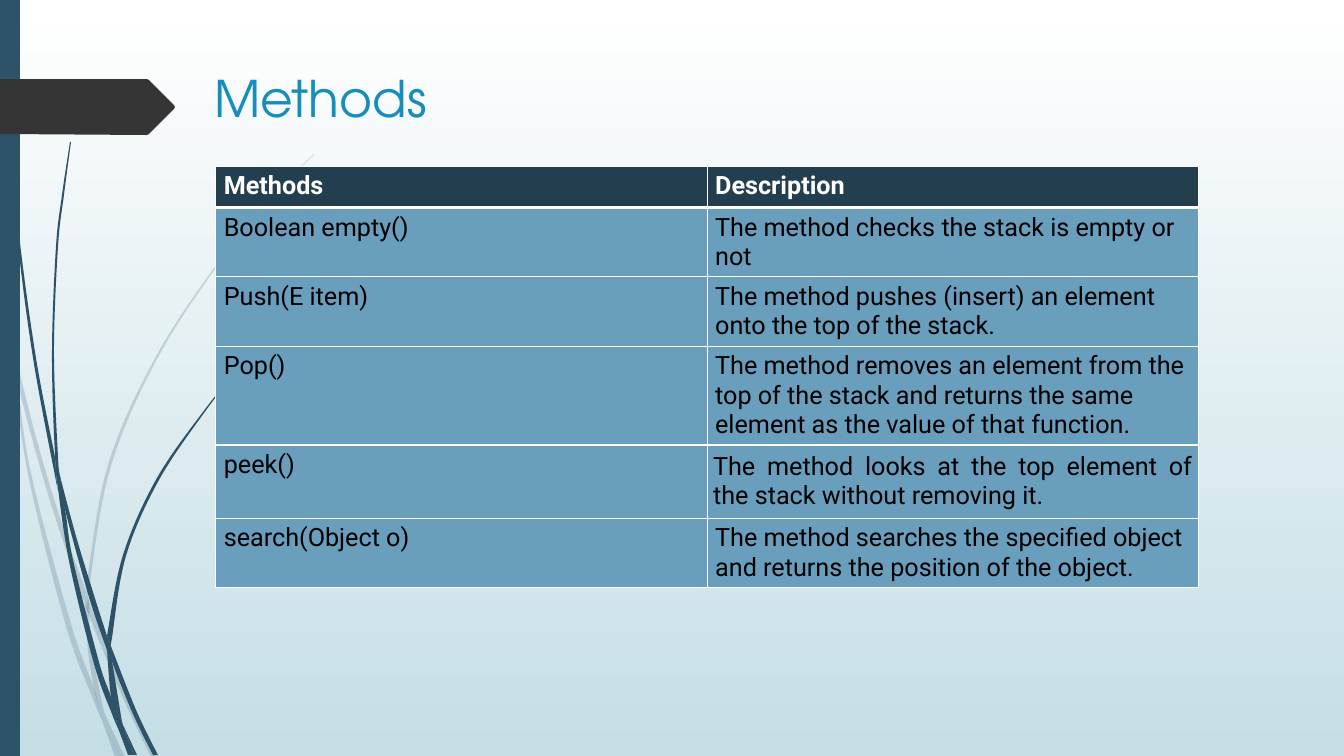
from pptx import Presentation, util as u
from pptx.dml.color import RGBColor
from pptx.enum import shapes, text
from pptx.oxml.ns import qn
from lxml import etree

EMU_PER_PX = 914400 / 100.8
COLORS = {"blue": "2E5369", "dark": "353535", "title": "178DBB", "header": "233E4F",
          "row": "699EBD", "white": "FFFFFF", "black": "000000", "sky": "C5DEE5"}
TITLE_FONT, TABLE_FONT = "TeX Gyre Adventor", "Roboto"

TITLE = "Methods"
METHODS = [
    ("Methods", "Description"),
    ("Boolean empty()", "The method checks the stack is empty or not"),
    ("Push(E item)", "The method pushes (insert) an element onto the top of the stack."),
    ("Pop()", "The method removes an element from the top of the stack and returns "
              "the same element as the value of that function."),
    ("peek()", "The method looks at the top element of the stack without removing it."),
    ("search(Object o)", "The method searches the specified object and returns "
                         "the position of the object."),
]
JUSTIFIED = METHODS[4][1]

# Each grass blade is a pair of edges: one out along the blade, one back.
PALE_BLADES = [
    ([(11, 353), (9, 325), (0, 284)], [(0, 301), (10, 347), (11, 353)]),
    ([(14, 348), (17, 379), (36, 453), (58, 526), (85, 604)],
     [(86, 591), (62, 524), (36, 437), (14, 348)]),
    ([(89, 601), (89, 615), (124, 700), (151, 757)],
     [(156, 757), (128, 698), (93, 612), (89, 601)]),
    ([(106, 717), (120, 757)], [(125, 757), (106, 717)]),
    ([(11, 353), (28, 474), (66, 626), (93, 699), (102, 720)],
     [(100, 713), (94, 688), (71, 624), (31, 473), (17, 379), (11, 353)]),
    ([(85, 604), (88, 651), (94, 688), (97, 698), (106, 717)],
     [(104, 712), (92, 651), (89, 615), (85, 604)]),
    ([(89, 601), (89, 589), (111, 466), (161, 352), (231, 247), (270, 200), (292, 176),
      (314, 155)],
     [(314, 154), (291, 176), (270, 199), (230, 246), (159, 351), (108, 465), (86, 589)]),
    ([(102, 720), (115, 757)], [(120, 757), (102, 720)]),
    ([(85, 604), (89, 615)], [(89, 601), (86, 591)]),
    ([(94, 688), (100, 713), (102, 720), (120, 757)], [(106, 717), (97, 698), (94, 688)]),
]
BLUE_BLADES = [
    ([(3, 0), (4, 48), (7, 111), (17, 235), (33, 358), (56, 481), (57, 485)],
     [(55, 457), (36, 358), (19, 234), (8, 110), (5, 48), (4, 0)]),
    ([(60, 476), (65, 509), (89, 597), (107, 650)],
     [(107, 636), (94, 595), (76, 536), (60, 476)]),
    ([(111, 646), (112, 661), (133, 714), (153, 755)],
     [(158, 755), (137, 712), (114, 654), (111, 646)]),
    ([(57, 481), (69, 561), (94, 664), (112, 714), (118, 728)],
     [(117, 723), (111, 697), (99, 662), (73, 560), (65, 509), (57, 481)]),
    ([(60, 476), (58, 457), (54, 352), (58, 247), (64, 195), (71, 142)],
     [(70, 142), (62, 195), (56, 247), (52, 352), (55, 453), (60, 476)]),
    ([(123, 725), (134, 755)], [(137, 755), (123, 725)]),
    ([(55, 453), (57, 481), (65, 509)], [(60, 476), (55, 453)]),
    ([(111, 646), (112, 638), (126, 556), (159, 480), (207, 409), (233, 377), (247, 362),
      (263, 347)],
     [(262, 347), (247, 361), (233, 376), (206, 408), (157, 478), (123, 555), (107, 636)]),
    ([(118, 728), (128, 755)], [(132, 755), (118, 728)]),
    ([(107, 650), (111, 697), (117, 712), (123, 725)],
     [(122, 722), (112, 661), (110, 656), (107, 650)]),
    ([(107, 650), (112, 661)], [(111, 646), (107, 636)]),
    ([(111, 697), (117, 723), (118, 728), (131, 755)],
     [(134, 755), (123, 725), (117, 712), (111, 697)]),
]
ARROW = [(0, 79), (147, 79), (149, 80), (174, 105), (175, 107), (174, 109), (149, 134),
         (147, 135), (0, 134)]


def px(length):
    """Turn picture pixels into EMU."""
    return round(length * EMU_PER_PX)


def rgb(name):
    """Look up a named colour."""
    return RGBColor.from_string(COLORS[name])


def paint(shape, color, opacity=100):
    """Give a shape a flat fill without line or shadow."""
    shape.shadow.inherit = False
    shape.line.fill.background()
    shape.fill.solid()
    shape.fill.fore_color.rgb = rgb(color)
    if opacity < 100:
        fill_color = shape.fill._xPr.find(qn("a:solidFill"))[0]
        etree.SubElement(fill_color, qn("a:alpha"), val=str(opacity * 1000))


def add_outline(slide, points, color, opacity=100):
    """Draw a closed, filled outline and return its shape."""
    start, *rest = [(px(x), px(y)) for x, y in points]
    builder = slide.shapes.build_freeform(*start)
    builder.add_line_segments(rest, close=True)
    outline = builder.convert_to_shape()
    paint(outline, color, opacity)
    return outline


def bend(segment, before, start, end, after):
    """Turn a straight segment into a curve that follows its neighbours."""
    curve = etree.Element(qn("a:cubicBezTo"))
    first = [s + (e - b) / 6 for b, s, e in zip(before, start, end)]
    second = [e - (a - s) / 6 for s, e, a in zip(start, end, after)]
    for x, y in (first, second, end):
        etree.SubElement(curve, qn("a:pt"), x=str(round(x)), y=str(round(y)))
    segment.getparent().replace(segment, curve)


def add_blade(slide, out, back, opacity):
    """Draw a grass blade with curved edges."""
    blade = add_outline(slide, out + back, "blue", opacity)
    segments = list(blade._element.iter(qn("a:lnTo")))
    local = [(px(x) - blade.left, px(y) - blade.top) for x, y in out + back]
    for first, last in ((0, len(out) - 1), (len(out), len(local) - 1)):
        for i in range(first, last):
            bend(segments[i], local[max(i - 1, first)], local[i], local[i + 1],
                 local[min(i + 2, last)])


def write(frame, words, font, size, color, bold=False):
    """Write one formatted run into the first paragraph."""
    run = frame.paragraphs[0].add_run()
    run.text = words
    run.font.name, run.font.size, run.font.bold = font, u.Pt(size), bold
    run.font.color.rgb = rgb(color)


def set_borders(cell, row):
    """Draw white cell borders, thick below the header."""
    widths = {"L": 1, "R": 1, "T": 3 if row == 1 else 1, "B": 3 if row == 0 else 1}
    properties = cell._tc.get_or_add_tcPr()
    for index, (side, width) in enumerate(widths.items()):
        line = etree.Element(qn(f"a:ln{side}"), w=str(u.Pt(width)))
        fill = etree.SubElement(line, qn("a:solidFill"))
        etree.SubElement(fill, qn("a:srgbClr"), val=COLORS["white"])
        properties.insert(index, line)


def add_methods(slide):
    """Build the table of methods."""
    table = slide.shapes.add_table(len(METHODS), 2, u.Inches(2.14), u.Inches(1.65),
                                   u.Inches(9.75), u.Inches(0.41 * len(METHODS))).table
    for row, entries in enumerate(METHODS):
        header = row == 0
        for column, words in enumerate(entries):
            cell = table.cell(row, column)
            side, end = (0.06, 0.07) if words == JUSTIFIED else (0.08, 0.05)
            cell.margin_left = cell.margin_right = u.Inches(side)
            cell.margin_top = cell.margin_bottom = u.Inches(end)
            cell.fill.solid()
            cell.fill.fore_color.rgb = rgb("header" if header else "row")
            write(cell.text_frame, words, TABLE_FONT, 18, "white" if header else "black", header)
            if words == JUSTIFIED:
                cell.text_frame.paragraphs[0].alignment = text.PP_ALIGN.JUSTIFY
            set_borders(cell, row)


deck = Presentation()
deck.slide_width, deck.slide_height = px(1344), px(756)
slide = deck.slides.add_slide(deck.slide_layouts[5])

backdrop = slide.background.fill
backdrop.gradient()
backdrop.gradient_angle = 270
for stop, color in zip(backdrop.gradient_stops, ("white", "sky")):
    stop.color.rgb = rgb(color)

for blades, opacity in ((PALE_BLADES, 20), (BLUE_BLADES, 100)):
    for out, back in blades:
        add_blade(slide, out, back, opacity)
sidebar = slide.shapes.add_shape(shapes.MSO_SHAPE.RECTANGLE, 0, 0, px(20), px(756))
paint(sidebar, "blue")
add_outline(slide, ARROW, "dark")

title = slide.shapes.title
title.left, title.top, title.width, title.height = px(204), px(58), px(983), px(78)
title.text_frame.vertical_anchor = text.MSO_ANCHOR.MIDDLE
title.text_frame.paragraphs[0].alignment = text.PP_ALIGN.LEFT
write(title.text_frame, TITLE, TITLE_FONT, 36, "title")

add_methods(slide)
deck.save("out.pptx")
